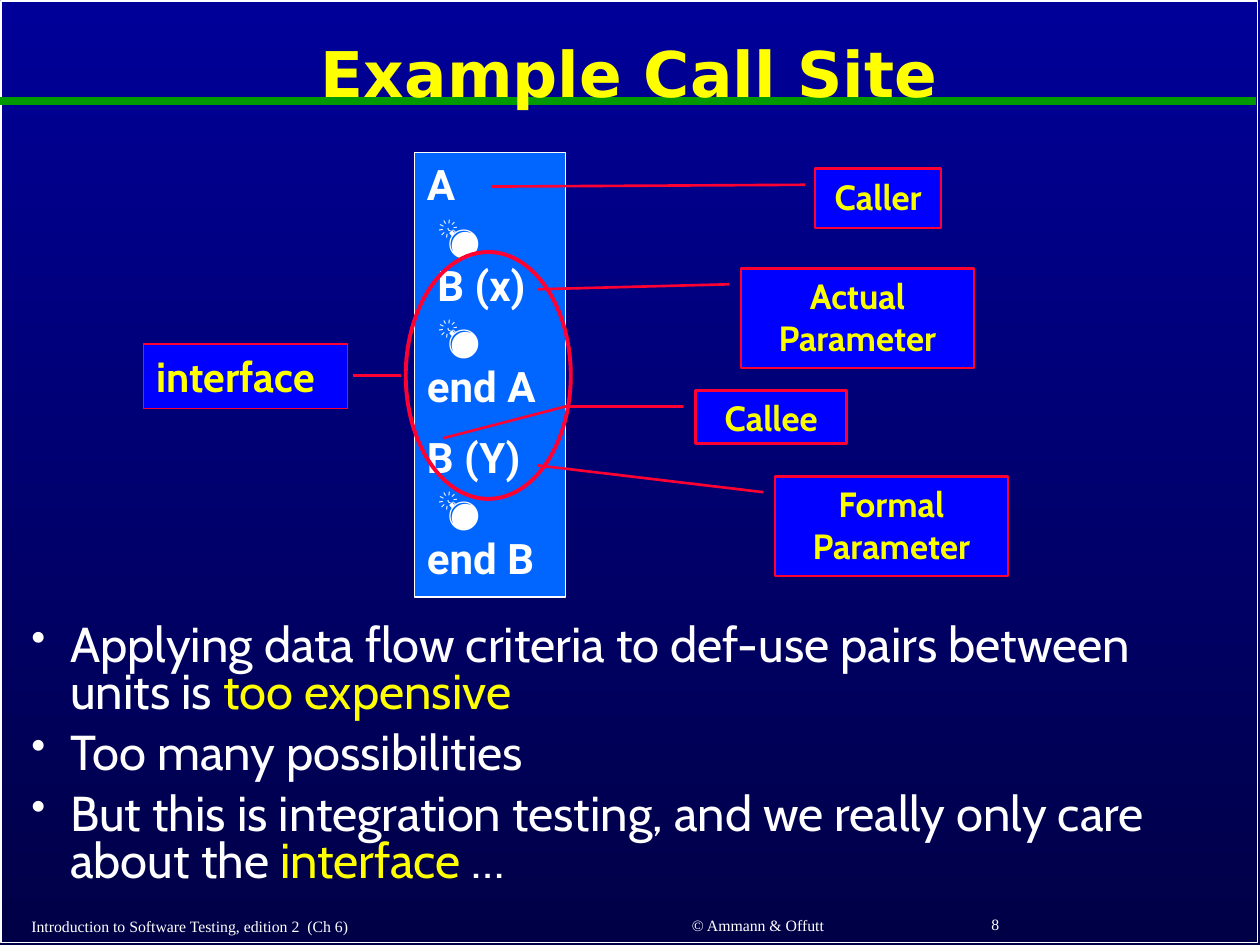
from lxml import etree
from pptx import Presentation
from pptx.dml.color import RGBColor
from pptx.enum.shapes import MSO_CONNECTOR, MSO_SHAPE
from pptx.enum.text import MSO_ANCHOR, PP_ALIGN
from pptx.oxml.ns import qn
from pptx.util import Inches, Pt

RECTANGLE, OVAL = MSO_SHAPE.RECTANGLE, MSO_SHAPE.OVAL
CALLOUT, BENT_CALLOUT = MSO_SHAPE.LINE_CALLOUT_1, MSO_SHAPE.LINE_CALLOUT_2
LEFT, CENTER = PP_ALIGN.LEFT, PP_ALIGN.CENTER
TOP, MIDDLE = MSO_ANCHOR.TOP, MSO_ANCHOR.MIDDLE

WHITE, YELLOW, LABEL_YELLOW = "FFFFFF", "FFFF00", "FAFD00"
RED, GREEN, BLUE, CODE_BLUE = "FF0033", "009900", "0000FF", "0066FF"
BACKGROUND = ["000099", "000047"]

TITLE = "Example Call Site"
CODE = [["A", " 💣", " B (x)", " 💣", "end A"], ["B (Y)", " 💣", "end B"]]
CALLOUTS = [
    ("Caller", CALLOUT, (6.47, 1.34, 1, 0.47), (0.27, -0.08, 0.3, -2.57)),
    ("Actual Parameter", CALLOUT, (5.88, 2.13, 1.85, 0.79), (0.16, -0.05, 0.21, -0.87)),
    ("Formal Parameter", CALLOUT, (6.15, 3.78, 1.85, 0.79), (0.16, -0.05, -0.11, -1.02)),
    ("Callee", BENT_CALLOUT, (5.52, 3.1, 1.2, 0.42), (0.3, -0.08, 0.3, -0.86, 0.9, -1.67)),
]
BULLETS = [
    [("Applying data flow criteria to def-use pairs between units is ", WHITE),
     ("too expensive", YELLOW)],
    [("Too many possibilities", WHITE)],
    [("But this is integration testing, and we really only care about the ", WHITE),
     ("interface", YELLOW), (" …", WHITE)],
]
FOOTERS = [
    ("Introduction to Software Testing, edition 2  (Ch 6)", (0.15, 7.22, 4.11, 0.26), LEFT),
    ("© Ammann & Offutt", (4.43, 7.21, 3.17, 0.26), CENTER),
    ("8", (7.77, 7.2, 2.08, 0.27), LEFT),
]


def color(value):
    return RGBColor.from_string(value)


def add_shape(slide, kind, box, fill, line, width):
    shape = slide.shapes.add_shape(kind, *map(Inches, box))
    shape.shadow.inherit = False
    if fill:
        shape.fill.solid()
        shape.fill.fore_color.rgb = color(fill)
    else:
        shape.fill.background()
    shape.line.color.rgb = color(line)
    shape.line.width = Pt(width)
    return shape


def add_line(slide, start, end, line, width):
    points = map(Inches, start + end)
    connector = slide.shapes.add_connector(MSO_CONNECTOR.STRAIGHT, *points)
    connector.line.color.rgb = color(line)
    connector.line.width = Pt(width)
    etree.SubElement(connector._element.spPr, qn("a:effectLst"))


def add_bullet(paragraph):
    properties = paragraph._p.get_or_add_pPr()
    properties.set("marL", str(Inches(0.31)))
    properties.set("indent", str(-Inches(0.31)))
    etree.SubElement(properties, qn("a:buSzPct"), val="85000")
    etree.SubElement(properties, qn("a:buChar"), char="•")


def write(shape, paragraphs, font, size, bold=False, align=LEFT, anchor=TOP,
          spacing=None, gap=0, bullets=False):
    """Fill a shape with paragraphs of (text, colour) runs; a None text breaks the line."""
    frame = shape.text_frame
    frame.word_wrap = True
    frame.vertical_anchor = anchor
    for index, runs in enumerate(paragraphs):
        paragraph = frame.add_paragraph() if index else frame.paragraphs[0]
        if bullets:
            add_bullet(paragraph)
        paragraph.alignment = align
        if spacing:
            paragraph.line_spacing = spacing
        if index:
            paragraph.space_before = Pt(gap)
        for text, run_color in runs:
            if text is None:
                paragraph.add_line_break()
                continue
            run = paragraph.add_run()
            run.text = text
            run.font.name = font
            run.font.size = Pt(size)
            run.font.bold = bold
            run.font.color.rgb = color(run_color)


def add_text(slide, box, paragraphs, font, size, **style):
    write(slide.shapes.add_textbox(*map(Inches, box)), paragraphs, font, size, **style)


def code_runs(lines):
    runs = [(lines[0], WHITE)]
    for line in lines[1:]:
        runs += [(None, None), (line, WHITE)]
    return runs


def main():
    presentation = Presentation()
    presentation.slide_width, presentation.slide_height = Inches(10), Inches(7.5)
    slide = presentation.slides.add_slide(presentation.slide_layouts[6])
    background = slide.background.fill
    background.gradient()
    background.gradient_angle = 270
    for stop, value, position in zip(background.gradient_stops, BACKGROUND, (0, 1)):
        stop.color.rgb = color(value)
        stop.position = position

    add_shape(slide, RECTANGLE, (0.01, 0.01, 9.97, 7.47), None, WHITE, 1)
    add_line(slide, (0, 0.8), (9.97, 0.8), GREEN, 4.5)
    add_text(slide, (0.13, 0.11, 9.73, 1), [[(TITLE, YELLOW)]], "DejaVu Sans", 36,
             bold=True, align=CENTER, anchor=MIDDLE, spacing=0.9)

    code = add_shape(slide, RECTANGLE, (3.29, 1.21, 1.2, 3.53), CODE_BLUE, WHITE, 0.75)
    write(code, [code_runs(lines) for lines in CODE], "Roboto", 24, bold=True, gap=12)

    for text, kind, box, adjustments in CALLOUTS:
        callout = add_shape(slide, kind, box, BLUE, RED, 1.5)
        for index, value in enumerate(adjustments):
            callout.adjustments[index] = value
        write(callout, [[(text, LABEL_YELLOW)]], "Cabin", 20, bold=True, align=CENTER)

    interface = add_shape(slide, RECTANGLE, (1.14, 2.73, 1.62, 0.51), BLUE, RED, 0.75)
    write(interface, [[("interface", YELLOW)]], "Cabin", 24, bold=True)
    add_shape(slide, OVAL, (3.22, 2, 1.31, 1.96), None, RED, 2.25)
    add_line(slide, (3.18, 2.98), (2.8, 2.98), RED, 2.25)

    add_text(slide, (0.15, 4.91, 9.7, 2.06), BULLETS, "Cabin", 28,
             spacing=0.8, gap=8, bullets=True)
    for text, box, align in FOOTERS:
        add_text(slide, box, [[(text, WHITE)]], "Times New Roman", 9,
                 align=align, anchor=MIDDLE)
    presentation.save("out.pptx")


if __name__ == "__main__":
    main()
